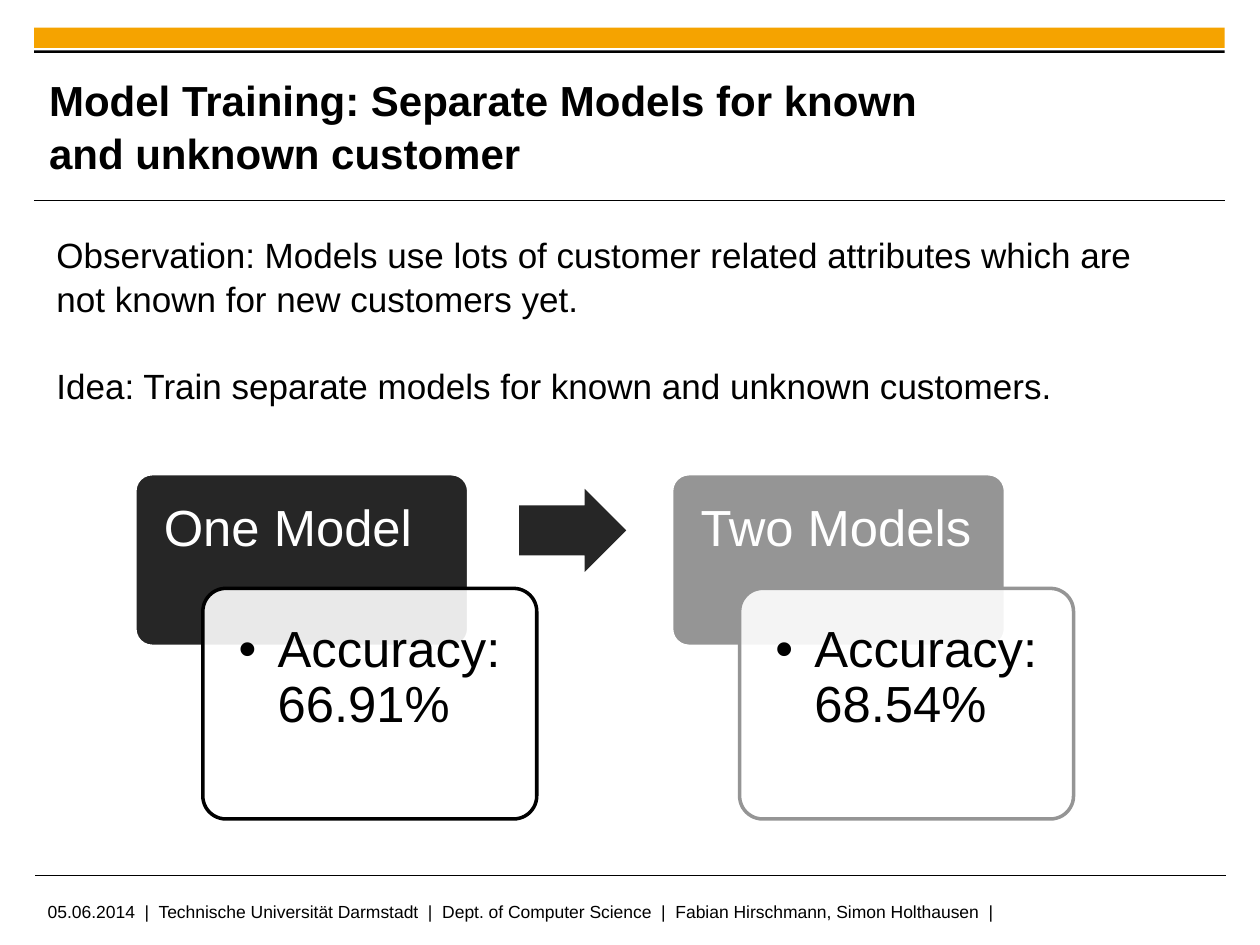
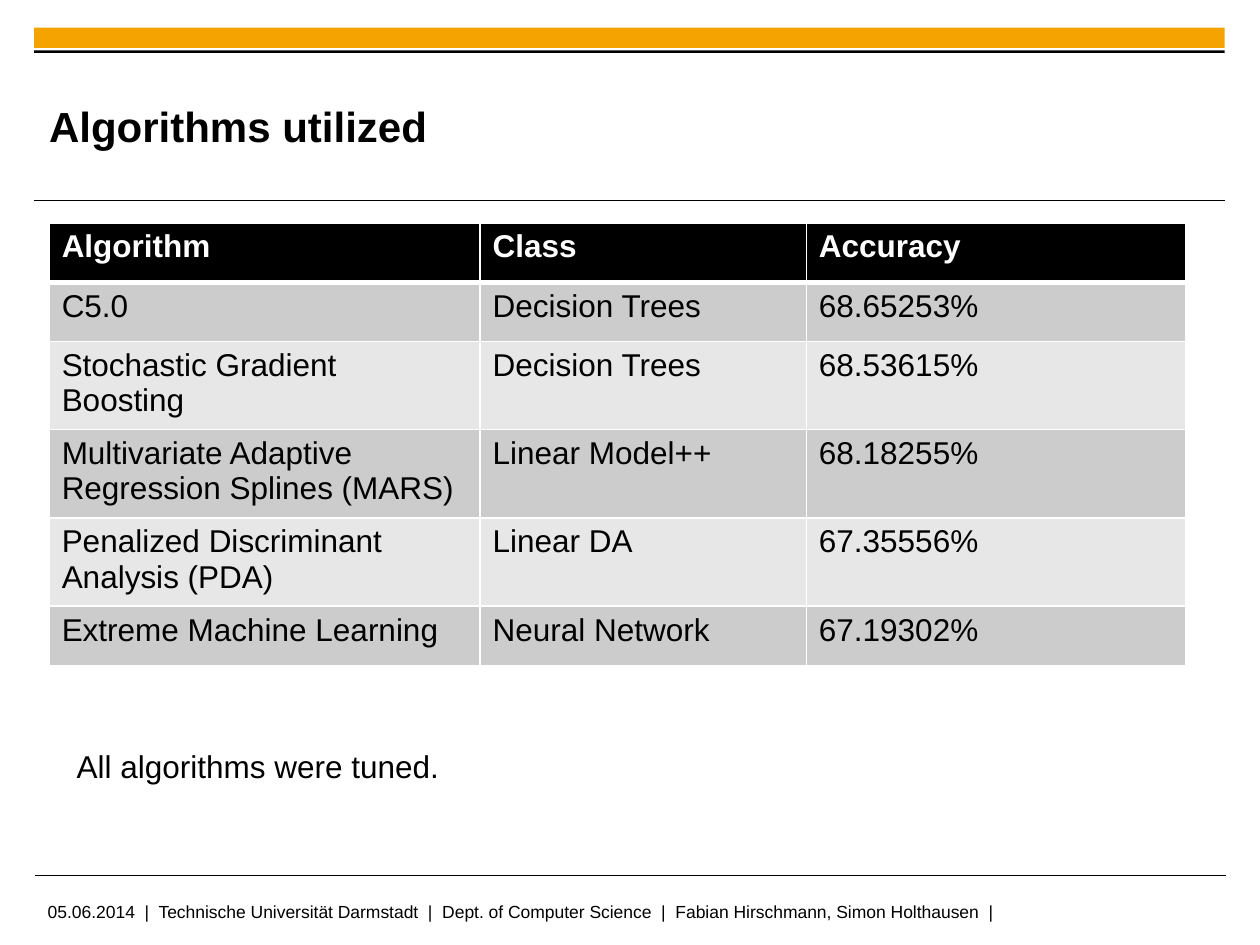
from dataclasses import dataclass

from lxml.etree import SubElement
from pptx import Presentation
from pptx.dml.color import RGBColor
from pptx.enum.shapes import MSO_CONNECTOR as Connector, MSO_SHAPE as Shape
from pptx.enum.text import MSO_ANCHOR as Anchor
from pptx.oxml.ns import qn
from pptx.util import Inches, Pt


@dataclass(frozen=True)
class Theme:
    font: str = "Arial"
    black: str = "000000"
    white: str = "FFFFFF"
    orange: str = "F5A300"
    dark: str = "262626"
    grey: str = "959595"
    row_fills: tuple = ("CCCCCC", "E7E7E7")
    title_size: float = 24
    body_size: float = 20
    card_size: float = 29
    table_size: float = 18
    footer_size: float = 10
    rule_width: float = 0.6
    card_line: float = 2
    line_spacing: float = 1.05
    card_spacing: float = 0.9


THEME = Theme()
BAND_LEFT, BAND_WIDTH = 0.27, 9.45
FOOTER = ("05.06.2014  |  Technische Universität Darmstadt  |  Dept. of Computer Science  |  "
          "Fabian Hirschmann, Simon Holthausen  |")
COLUMN_WIDTHS = (3.42, 2.59, 3.01)
ROW_HEIGHTS = (0.47, 0.47, 0.49, 0.47, 0.47, 0.47)
ALGORITHMS = (
    ("Algorithm", "Class", "Accuracy"),
    ("C5.0", "Decision Trees", "68.65253%"),
    ("Stochastic Gradient Boosting", "Decision Trees", "68.53615%"),
    ("Multivariate Adaptive Regression Splines (MARS)", "Linear Model++", "68.18255%"),
    ("Penalized Discriminant Analysis (PDA)", "Linear DA", "67.35556%"),
    ("Extreme Machine Learning", "Neural Network", "67.19302%"),
)


def rgb(color):
    return RGBColor.from_string(color)


def write(para, text, size, color=THEME.black, bold=False, spacing=None):
    span = para.add_run()
    span.text = text
    span.font.name = THEME.font
    span.font.size = Pt(size)
    span.font.bold = bold
    span.font.color.rgb = rgb(color)
    if spacing:
        para.line_spacing = spacing


def set_insets(frame, left, top, right, bottom):
    frame.margin_left, frame.margin_top = Inches(left), Inches(top)
    frame.margin_right, frame.margin_bottom = Inches(right), Inches(bottom)


def add_text(page, left, top, width, height, wrap=True):
    frame = page.shapes.add_textbox(*map(Inches, (left, top, width, height))).text_frame
    frame.word_wrap = wrap
    return frame


def add_block(page, kind, left, top, width, height, fill, line=None, adjustments=()):
    block = page.shapes.add_shape(kind, *map(Inches, (left, top, width, height)))
    block.shadow.inherit = False
    block.fill.solid()
    block.fill.fore_color.rgb = rgb(fill)
    if line:
        block.line.color.rgb = rgb(line)
        block.line.width = Pt(THEME.card_line)
    else:
        block.line.fill.background()
    for index, value in enumerate(adjustments):
        block.adjustments[index] = value
    return block


def add_rule(page, left, top):
    rule = page.shapes.add_connector(
        Connector.STRAIGHT, *map(Inches, (left, top, left + BAND_WIDTH, top)))
    rule.line.color.rgb = rgb(THEME.black)
    rule.line.width = Pt(THEME.rule_width)
    SubElement(rule.line._get_or_add_ln().getparent(), qn("a:effectLst"))


def add_page(deck, title):
    page = deck.slides.add_slide(deck.slide_layouts[6])
    add_block(page, Shape.RECTANGLE, BAND_LEFT, 0.22, BAND_WIDTH, 0.16, THEME.orange)
    add_block(page, Shape.RECTANGLE, BAND_LEFT, 0.4, BAND_WIDTH, 0.02, THEME.black)
    add_rule(page, BAND_LEFT, 1.59)
    add_rule(page, BAND_LEFT + 0.01, 6.95)
    write(add_text(page, 0.28, 7.1, 7.88, 0.25).paragraphs[0], FOOTER, THEME.footer_size)
    heading = add_text(page, 0.39, 0.53, 7.26, 0.92)
    heading.vertical_anchor = Anchor.MIDDLE
    set_insets(heading, 0, 0, 0, 0)
    write(heading.paragraphs[0], title, THEME.title_size, bold=True,
          spacing=THEME.line_spacing)
    return page


def make_translucent(block, percent):
    color = block.fill._xPr.find(qn("a:solidFill"))[0]
    SubElement(color, qn("a:alpha"), val=str(percent * 1000))


def add_bullet(para, indent):
    properties = para._p.get_or_add_pPr()
    properties.set("marL", str(Inches(indent)))
    properties.set("indent", str(-Inches(indent)))
    SubElement(properties, qn("a:buFont"), typeface=THEME.font)
    SubElement(properties, qn("a:buChar"), char="•")


def card_paragraph(card, insets, text, color):
    frame = card.text_frame
    frame.word_wrap = True
    frame.vertical_anchor = Anchor.TOP
    set_insets(frame, *insets)
    para = frame.paragraphs[0]
    para.alignment = 1
    write(para, text, THEME.card_size, color, spacing=THEME.card_spacing)
    return para


def add_model(page, left, name, accuracy, fill, outline):
    header = add_block(page, Shape.ROUNDED_RECTANGLE, left, 3.76, 2.65, 1.37,
                       fill, THEME.white, (0.1,))
    card_paragraph(header, (0.19, 0.19, 0.17, 0.12), name, THEME.white)
    result = add_block(page, Shape.ROUNDED_RECTANGLE, left + 0.54, 4.67, 2.65, 1.83,
                       THEME.white, outline, (0.1,))
    make_translucent(result, 90)
    para = card_paragraph(result, (0.23, 0.23, 0.2, 0.23),
                          f"Accuracy: {accuracy}", THEME.black)
    add_bullet(para, 0.31)


def set_borders(cell, widths):
    properties = cell._tc.get_or_add_tcPr()
    for side, width in widths.items():
        line = SubElement(properties, qn(f"a:ln{side}"), w=str(Pt(width)))
        SubElement(SubElement(line, qn("a:solidFill")), qn("a:srgbClr"), val=THEME.white)


def add_algorithm_table(page, left, top):
    size = (sum(COLUMN_WIDTHS), sum(ROW_HEIGHTS))
    table = page.shapes.add_table(len(ALGORITHMS), len(COLUMN_WIDTHS),
                                  *map(Inches, (left, top, *size))).table
    for column, width in zip(table.columns, COLUMN_WIDTHS):
        column.width = Inches(width)
    for index, (row, height) in enumerate(zip(table.rows, ROW_HEIGHTS)):
        row.height = Inches(height)
        is_header = index == 0
        fill = THEME.black if is_header else THEME.row_fills[(index - 1) % 2]
        borders = {"L": 1, "R": 1, "T": 3 if index == 1 else 1, "B": 3 if is_header else 1}
        for cell, text in zip(row.cells, ALGORITHMS[index]):
            set_borders(cell, borders)
            cell.fill.solid()
            cell.fill.fore_color.rgb = rgb(fill)
            write(cell.text_frame.paragraphs[0], text, THEME.table_size,
                  THEME.white if is_header else THEME.black, bold=is_header)


def build_models_page(deck):
    page = add_page(deck, "Model Training: Separate Models for known and unknown customer")
    add_model(page, 1.07, "One Model", "66.91%", THEME.dark, THEME.black)
    add_block(page, Shape.RIGHT_ARROW, 4.12, 3.88, 0.85, 0.66, THEME.dark,
              adjustments=(0.6, 0.5))
    add_model(page, 5.33, "Two Models", "68.54%", THEME.grey, THEME.grey)
    body = add_text(page, 0.35, 1.79, 8.9, 1.45)
    write(body.paragraphs[0],
          "Observation: Models use lots of customer related attributes which are "
          "not known for new customers yet.", THEME.body_size, spacing=THEME.line_spacing)
    idea = body.add_paragraph()
    idea.space_before = Pt(24)
    write(idea, "Idea: Train separate models for known and unknown customers.",
          THEME.body_size, spacing=THEME.line_spacing)


def build_algorithms_page(deck):
    page = add_page(deck, "Algorithms utilized")
    add_algorithm_table(page, 0.39, 1.77)
    note = add_text(page, 0.51, 5.88, 3.11, 0.4, wrap=False)
    write(note.paragraphs[0], "All algorithms were tuned.", THEME.table_size)


def main():
    deck = Presentation()
    deck.slide_width, deck.slide_height = Inches(10), Inches(7.5)
    build_models_page(deck)
    build_algorithms_page(deck)
    deck.save("out.pptx")


if __name__ == "__main__":
    main()
